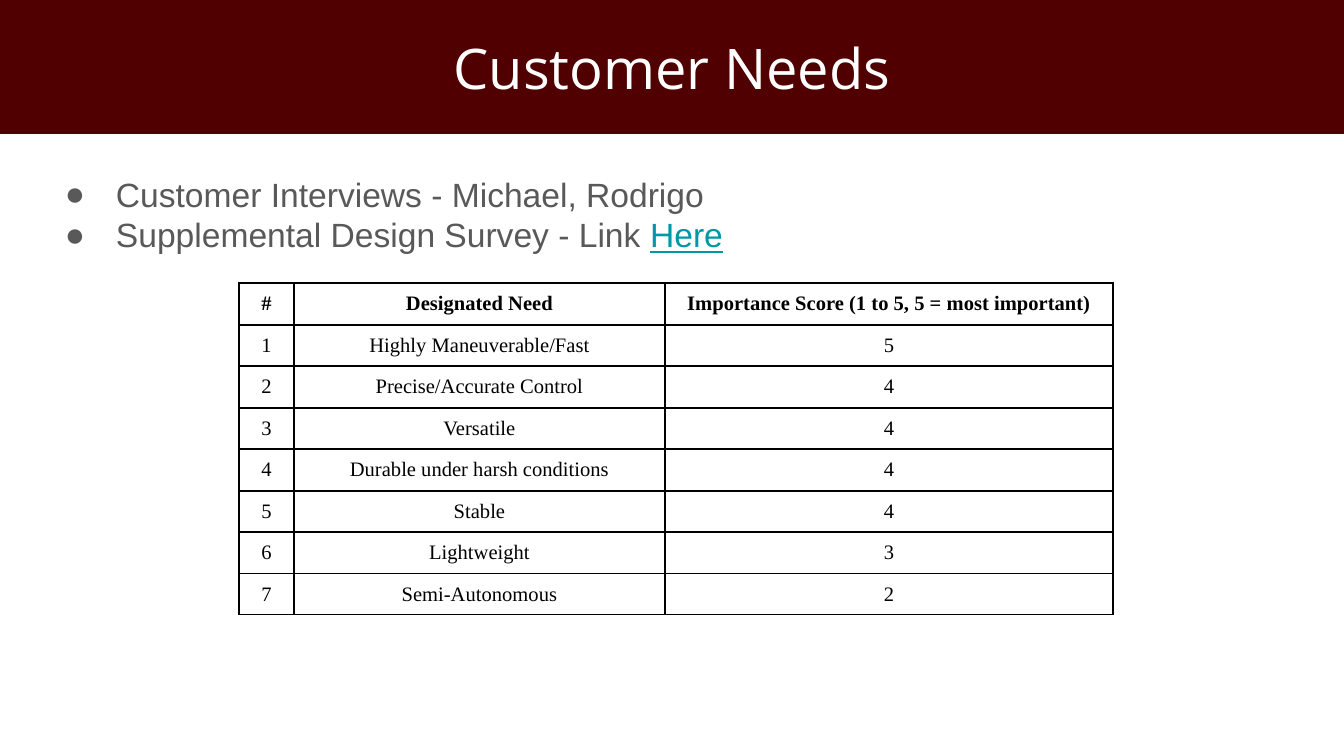
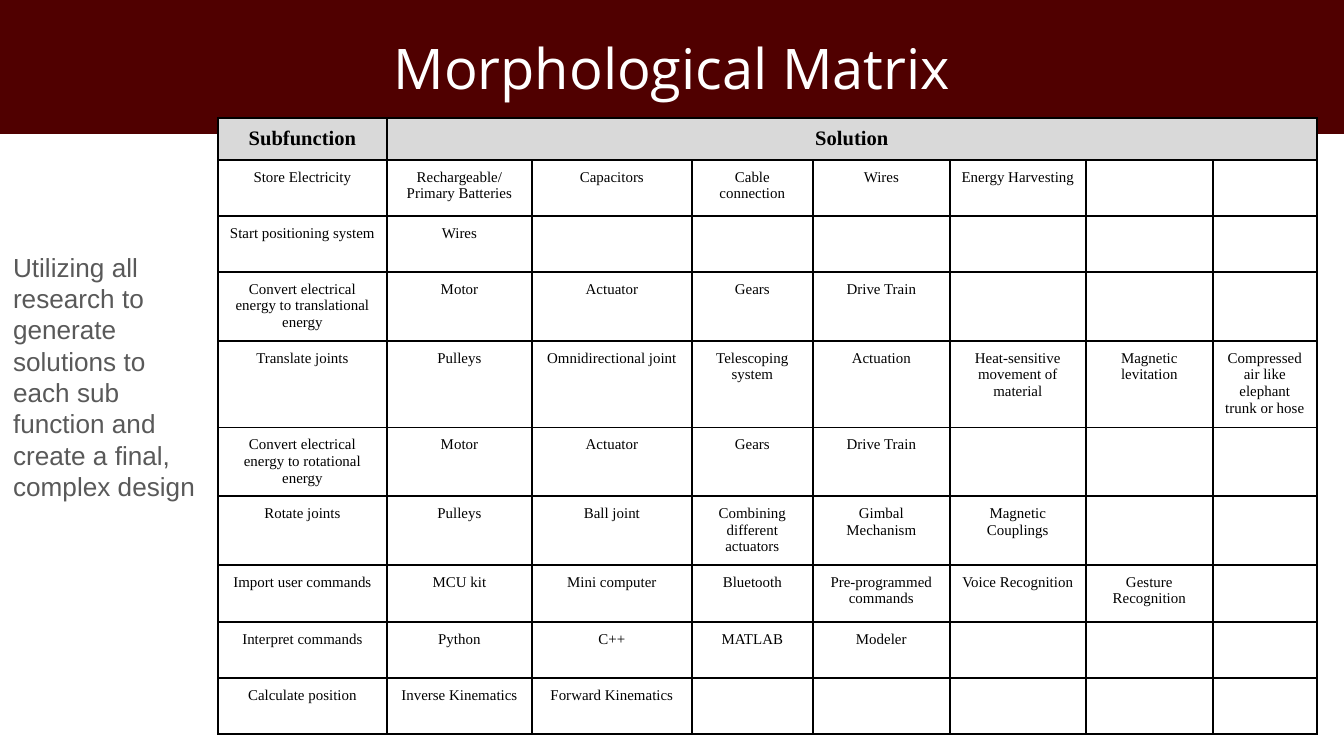
from dataclasses import dataclass

from lxml import etree
from pptx import Presentation
from pptx.dml.color import RGBColor
from pptx.enum.shapes import MSO_SHAPE as SHAPE
from pptx.enum.text import MSO_ANCHOR as ANCHOR, PP_ALIGN as ALIGN
from pptx.oxml import parse_xml
from pptx.oxml.ns import nsdecls, qn
from pptx.util import Pt

PX = 914400 / 134.4  # EMU in one px


@dataclass(frozen=True)
class Theme:
    maroon: str = "500000"
    white: str = "FFFFFF"
    black: str = "000000"
    body: str = "595959"
    link: str = "0097A7"
    header: str = "D9D9D9"
    title_font: str = "Open Sans"
    body_font: str = "Arial"
    table_font: str = "Times New Roman"
    title_size: int = 30
    bullet_size: int = 18
    note_size: int = 14
    head_size: int = 11
    cell_size: int = 8


T = Theme()


def px(n):
    return round(n * PX)


def write(p, text, *, size, font, color, bold=False, underline=False, align=None):
    """Append one formatted run to a paragraph."""
    if align is not None:
        p.alignment = align
    r = p.add_run()
    r.text = text
    f = r.font
    f.size, f.name, f.bold, f.underline = Pt(size), font, bold, underline
    f.color.rgb = RGBColor.from_string(color)


NEEDS = [
    ("Highly Maneuverable/Fast", 5),
    ("Precise/Accurate Control", 4),
    ("Versatile", 4),
    ("Durable under harsh conditions", 4),
    ("Stable", 4),
    ("Lightweight", 3),
    ("Semi-Autonomous", 2),
]
needs_rows = [["#", "Designated Need", "Importance Score (1 to 5, 5 = most important)"]]
needs_rows += [[str(n), need, str(score)] for n, (need, score) in enumerate(NEEDS, 1)]

matrix_rows = [
    ["Subfunction", "Solution"],
    ["Store Electricity", "Rechargeable/ Primary Batteries", "Capacitors",
     "Cable connection", "Wires", "Energy Harvesting"],
    ["Start positioning system", "Wires"],
    ["Convert electrical energy to translational energy", "Motor", "Actuator",
     "Gears", "Drive Train"],
    ["Translate joints", "Pulleys", "Omnidirectional joint", "Telescoping system",
     "Actuation", "Heat-sensitive movement of material", "Magnetic levitation",
     "Compressed air like elephant trunk or hose"],
    ["Convert electrical energy to rotational energy", "Motor", "Actuator",
     "Gears", "Drive Train"],
    ["Rotate joints", "Pulleys", "Ball joint", "Combining different actuators",
     "Gimbal Mechanism", "Magnetic Couplings"],
    ["Import user commands", "MCU kit", "Mini computer", "Bluetooth",
     "Pre-programmed commands", "Voice Recognition", "Gesture Recognition"],
    ["Interpret commands", "Python", "C++", "MATLAB", "Modeler"],
    ["Calculate position", "Inverse Kinematics", "Forward Kinematics"],
]

prs = Presentation()
prs.slide_width, prs.slide_height = px(1344), px(756)

# Title bands
slides = []
for title in ("Customer Needs", "Morphological Matrix"):
    s = prs.slides.add_slide(prs.slide_layouts[6])
    band = s.shapes.add_shape(SHAPE.RECTANGLE, 0, 0, prs.slide_width, px(134))
    band.shadow.inherit = False
    band.fill.solid()
    band.fill.fore_color.rgb = RGBColor.from_string(T.maroon)
    band.line.fill.background()
    tf = band.text_frame
    tf.word_wrap = True
    tf.vertical_anchor = ANCHOR.MIDDLE
    write(tf.paragraphs[0], title, size=T.title_size, font=T.title_font,
          color=T.white, align=ALIGN.CENTER)
    slides.append(s)
needs_slide, matrix_slide = slides

# Body text
bullets = [
    [("Customer Interviews - Michael, Rodrigo", False)],
    [("Supplemental Design Survey - Link ", False), ("Here", True)],
]
note = [[("Utilizing all research to generate solutions to each sub function "
          "and create a final, complex design", False)]]
for s, box, size, bulleted, lines in (
    (needs_slide, (36, 161, 1269, 493), T.bullet_size, True, bullets),
    (matrix_slide, (0, 238, 212, 280), T.note_size, False, note),
):
    tf = s.shapes.add_textbox(*map(px, box)).text_frame
    tf.word_wrap = True
    tf.margin_left = tf.margin_right = tf.margin_top = tf.margin_bottom = px(13)
    for i, runs in enumerate(lines):
        p = tf.add_paragraph() if i else tf.paragraphs[0]
        if bulleted:
            pPr = p._p.get_or_add_pPr()
            pPr.set("marL", str(px(67)))
            pPr.set("indent", str(-px(51)))
            color = etree.SubElement(pPr, qn("a:buClr"))
            etree.SubElement(color, qn("a:srgbClr"), val=T.body)
            etree.SubElement(pPr, qn("a:buFont"), typeface=T.body_font)
            etree.SubElement(pPr, qn("a:buChar"), char="●")
        for text, linked in runs:
            write(p, text, size=size, font=T.body_font, underline=linked,
                  color=T.link if linked else T.body)

# Tables
needs_cols = [55, 371, 448]
needs_heights = [42, 41] * 4
matrix_cols = [169, 145, 160, 121, 137, 136, 127, 104]
matrix_heights = [42, 56, 56, 69, 85, 68, 68, 57, 56, 56]
for s, left, top, cols, heights, rows, cell_size, head_fill in (
    (needs_slide, 239, 283, needs_cols, needs_heights, needs_rows, T.head_size, None),
    (matrix_slide, 218, 118, matrix_cols, matrix_heights, matrix_rows, T.cell_size, T.header),
):
    table = s.shapes.add_table(len(rows), len(cols), px(left), px(top),
                               px(sum(cols)), px(sum(heights))).table
    table.first_row = table.horz_banding = False
    for column, width in zip(table.columns, cols):
        column.width = px(width)
    for row, height in zip(table.rows, heights):
        row.height = px(height)
    for i, texts in enumerate(rows):
        head = i == 0
        size = T.head_size if head else cell_size
        for j in range(len(cols)):
            cell = table.cell(i, j)
            cell.margin_left = cell.margin_right = px(10)
            # The smaller bottom margin keeps text from stretching its row
            cell.margin_top, cell.margin_bottom = px(9), px(6)
            tcPr = cell._tc.get_or_add_tcPr()
            for side in "LRTB":
                tcPr.append(parse_xml(
                    f'<a:ln{side} {nsdecls("a")} w="{Pt(1)}"><a:solidFill>'
                    f'<a:srgbClr val="{T.black}"/></a:solidFill></a:ln{side}>'))
            if head and head_fill:
                cell.fill.solid()
                cell.fill.fore_color.rgb = RGBColor.from_string(head_fill)
            else:
                cell.fill.background()
            p = cell.text_frame.paragraphs[0]
            if j < len(texts):
                write(p, texts[j], font=T.table_font, size=size, color=T.black,
                      bold=head, align=ALIGN.CENTER)
            # Empty cells need a small size too, or they stretch their row
            end = etree.SubElement(p._p, qn("a:endParaRPr"), sz=str(size * 100))
            etree.SubElement(end, qn("a:latin"), typeface=T.table_font)
    if len(rows[0]) < len(cols):
        table.cell(0, len(rows[0]) - 1).merge(table.cell(0, len(cols) - 1))

prs.save("out.pptx")
